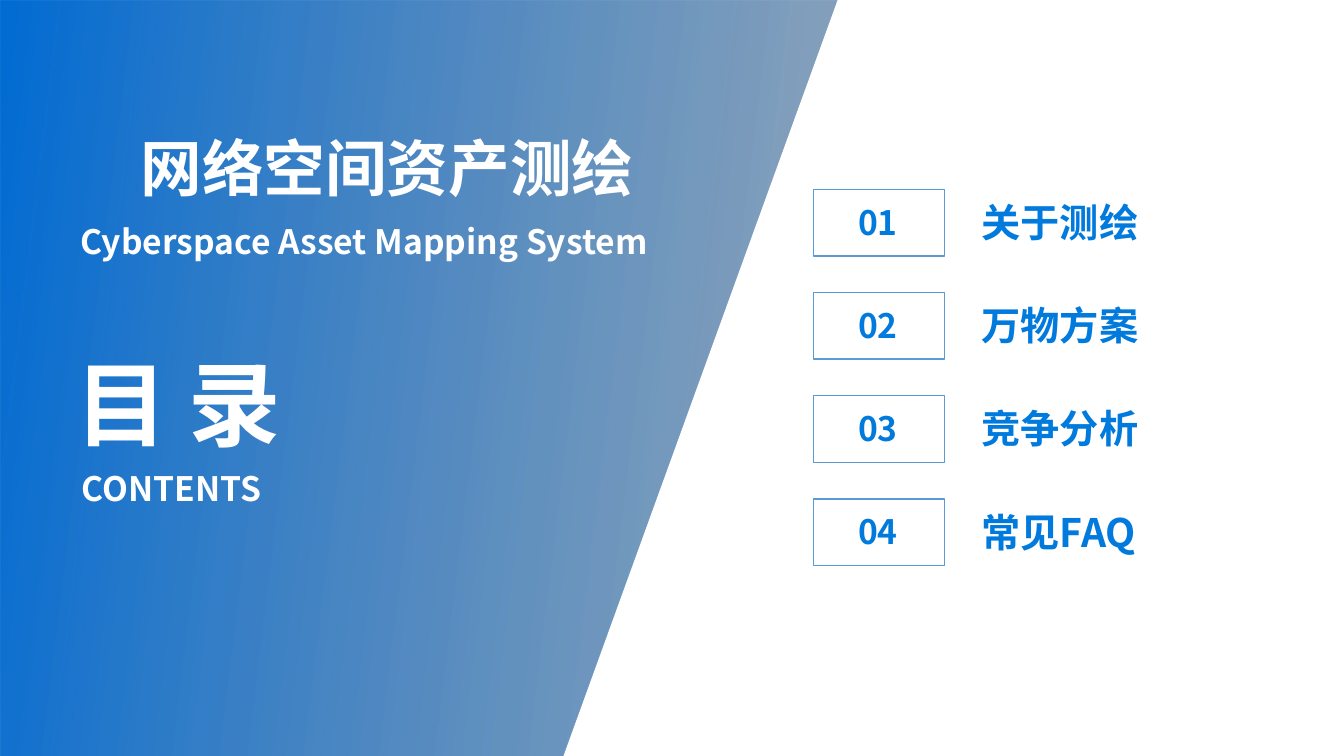
"""Builds the contents slide of an asset mapping deck on a grid of 160 columns by 90 rows."""
from dataclasses import dataclass
from typing import Optional

from lxml.etree import SubElement
from pptx import Presentation
from pptx.dml.color import RGBColor
from pptx.enum.shapes import MSO_SHAPE as Preset
from pptx.enum.text import MSO_AUTO_SIZE as AutoSize, PP_ALIGN as Align
from pptx.oxml.ns import qn
from pptx.shapes.autoshape import Shape
from pptx.slide import Slide
from pptx.util import Inches, Pt

COLUMNS, ROWS = 160, 90
WIDTH, HEIGHT = Inches(13.33), Inches(7.5)
FONT = "Noto Sans CJK SC"
WHITE, ACCENT, FRAME = "FFFFFF", "007ADD", "5B9BD5"
PANEL_START, PANEL_END = "026CD4", "707070"
CHAPTERS = ["关于测绘", "万物方案", "竞争分析", "常见FAQ"]
CHAPTER_PITCH = 12.28


@dataclass
class Area:
    """A rectangle in grid columns and rows."""
    column: float
    row: float
    columns: float
    rows: float

    def lower(self, rows: float) -> "Area":
        """Return the same area moved down."""
        return Area(self.column, self.row + rows, self.columns, self.rows)

    def emu(self) -> tuple[int, int, int, int]:
        """Return left, top, width and height as slide lengths."""
        return across(self.column), down(self.row), across(self.columns), down(self.rows)


@dataclass
class Caption:
    """A line of text with its place and look."""
    text: str
    area: Area
    size: float
    color: str = WHITE
    align: Optional[Align] = None
    inset: tuple[float, float] = (0.1, 0.05)


NARROW_INSET = (0.08, 0.04)
HEADINGS = [
    Caption("目 录", Area(8.04, 40.8, 35.4, 14.28), 66, align=Align.JUSTIFY, inset=NARROW_INSET),
    Caption("CONTENTS", Area(8.76, 55.2, 32.76, 5.88), 24, align=Align.JUSTIFY, inset=NARROW_INSET),
    Caption("网络空间资产测绘", Area(7.8, 14.88, 76.56, 10.08), 44, align=Align.CENTER),
    Caption("Cyberspace Asset Mapping System", Area(8.4, 25.68, 76.92, 6), 24),
]
FRAME_AREA = Area(96.84, 22.56, 15.6, 7.92)
NUMBER_AREA = Area(94.68, 23.4, 19.68, 6)
NAME_AREA = Area(115.68, 23.04, 42.48, 6.84)


def across(columns: float) -> int:
    """Convert grid columns to a slide length."""
    return round(WIDTH * columns / COLUMNS)


def down(rows: float) -> int:
    """Convert grid rows to a slide length."""
    return round(HEIGHT * rows / ROWS)


def rgb(code: str) -> RGBColor:
    """Turn a hex string into a colour."""
    return RGBColor.from_string(code)


def apply(target: object, values: dict[str, object]) -> None:
    """Set each named attribute of the target."""
    for name, value in values.items():
        setattr(target, name, value)


def add_caption(slide: Slide, caption: Caption) -> None:
    """Add one line of bold text."""
    frame = slide.shapes.add_textbox(*caption.area.emu()).text_frame
    side, edge = map(Inches, caption.inset)
    apply(frame, {"word_wrap": True, "auto_size": AutoSize.SHAPE_TO_FIT_TEXT,
                  "margin_left": side, "margin_right": side,
                  "margin_top": edge, "margin_bottom": edge})
    paragraph = frame.paragraphs[0]
    paragraph.alignment = caption.align
    run = paragraph.add_run()
    run.text = caption.text
    apply(run.font, {"name": FONT, "size": Pt(caption.size), "bold": True})
    run.font.color.rgb = rgb(caption.color)
    SubElement(run.font._element, qn("a:ea"), typeface=FONT)


def add_rectangle(slide: Slide, area: Area) -> Shape:
    """Add a rectangle without a shadow."""
    rectangle = slide.shapes.add_shape(Preset.RECTANGLE, *area.emu())
    rectangle.shadow.inherit = False
    return rectangle


def add_panel(slide: Slide) -> None:
    """Add the gradient panel and the slanted white area over its right side."""
    panel = add_rectangle(slide, Area(0, 0, COLUMNS, ROWS))
    panel.line.fill.background()
    panel.fill.gradient()
    panel.fill.gradient_angle = 353
    start, end = panel.fill.gradient_stops
    apply(start, {"position": 0})
    apply(end, {"position": 0.98})
    start.color.rgb, end.color.rgb = rgb(PANEL_START), rgb(PANEL_END)
    end_color = panel.fill._xPr.findall(".//" + qn("a:srgbClr"))[-1]
    SubElement(end_color, qn("a:alpha"), val="41000")

    outline = slide.shapes.build_freeform(across(99.72), 0)
    corners = [(COLUMNS, 0), (COLUMNS, ROWS), (67.08, ROWS)]
    outline.add_line_segments([(across(x), down(y)) for x, y in corners])
    slant = outline.convert_to_shape()
    slant.shadow.inherit = False
    slant.fill.solid()
    slant.fill.fore_color.rgb = rgb(WHITE)
    slant.line.fill.background()


def add_chapter(slide: Slide, index: int, name: str) -> None:
    """Add a framed chapter number and the chapter name."""
    offset = index * CHAPTER_PITCH
    frame = add_rectangle(slide, FRAME_AREA.lower(offset))
    frame.fill.background()
    frame.line.color.rgb = rgb(FRAME)
    frame.line.width = Pt(1)
    add_caption(slide, Caption(f"{index + 1:02}", NUMBER_AREA.lower(offset), 24, ACCENT, Align.CENTER))
    add_caption(slide, Caption(name, NAME_AREA.lower(offset), 28, ACCENT))


def main() -> None:
    """Build and save the slide."""
    deck = Presentation()
    apply(deck, {"slide_width": WIDTH, "slide_height": HEIGHT})
    slide = deck.slides.add_slide(deck.slide_layouts[6])
    add_panel(slide)
    for heading in HEADINGS:
        add_caption(slide, heading)
    for index, name in enumerate(CHAPTERS):
        add_chapter(slide, index, name)
    deck.save("out.pptx")


if __name__ == "__main__":
    main()
